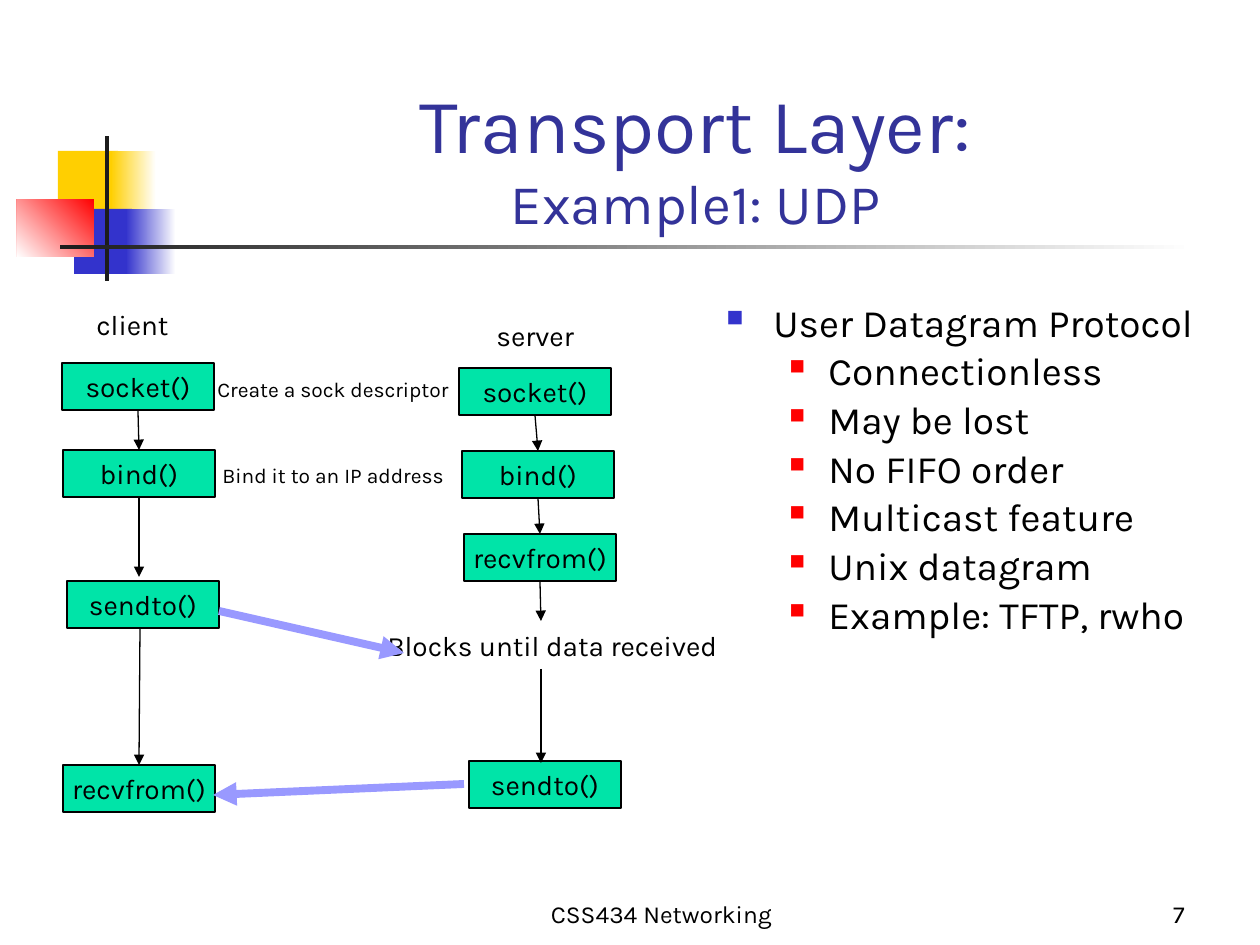
from lxml.etree import SubElement
from pptx import Presentation
from pptx.dml.color import RGBColor
from pptx.enum.shapes import MSO_CONNECTOR, MSO_SHAPE
from pptx.enum.text import MSO_ANCHOR, PP_ALIGN
from pptx.oxml.ns import qn
from pptx.util import Emu, Pt

SCALE = 914400 / 126
FONT = "Karla"
COLORS = {
    "black": "000000", "white": "FFFFFF", "title": "333399", "call": "00E4A8",
    "message": "9999FF", "yellow": "FFCF01", "blue": "3333CC", "red": "FF0000",
    "rule": "1C1C1C",
}
BOTTOM, TOP = 2, 0


def px(*lengths):
    return [Emu(round(length * SCALE)) for length in lengths]


def rgb(name):
    return RGBColor.from_string(COLORS[name])


class SlideBuilder:
    def __init__(self, page):
        self.page = page

    def style(self, font, size, color="black"):
        font.name = FONT
        font.size = Pt(size)
        font.color.rgb = rgb(color)

    def title(self, place, lines):
        box = self.page.shapes.title
        box.left, box.top, box.width, box.height = px(*place)
        box.text_frame.vertical_anchor = MSO_ANCHOR.BOTTOM
        para = box.text_frame.paragraphs[0]
        para.alignment = PP_ALIGN.CENTER
        for number, (text, size) in enumerate(lines):
            if number:
                para.add_line_break()
            span = para.add_run()
            span.text = text
            self.style(span.font, size, "title")

    def rect(self, place, color, fade_to=None, angle=0):
        box = self.page.shapes.add_shape(MSO_SHAPE.RECTANGLE, *px(*place))
        box.shadow.inherit = False
        box.line.fill.background()
        if fade_to:
            box.fill.gradient()
            box.fill.gradient_angle = angle
            for stop, name in zip(box.fill.gradient_stops, (color, fade_to)):
                stop.color.rgb = rgb(name)
        else:
            box.fill.solid()
            box.fill.fore_color.rgb = rgb(color)
        return box

    def call(self, left, top, text):
        box = self.rect((left, top, 152, 47), "call")
        box.line.color.rgb = rgb("black")
        box.line.width = Pt(0.75)
        frame = box.text_frame
        frame.word_wrap = False
        frame.vertical_anchor = MSO_ANCHOR.MIDDLE
        para = frame.paragraphs[0]
        para.text = text
        para.alignment = PP_ALIGN.CENTER
        self.style(para.font, 16)
        return box

    def text(self, place, text, size, align=PP_ALIGN.LEFT, wrap=False,
             anchor=MSO_ANCHOR.TOP):
        frame = self.page.shapes.add_textbox(*px(*place)).text_frame
        frame.word_wrap = wrap
        frame.vertical_anchor = anchor
        para = frame.paragraphs[0]
        para.text = text
        para.alignment = align
        self.style(para.font, size)

    def bullets(self, place, items):
        frame = self.page.shapes.add_textbox(*px(*place)).text_frame
        frame.word_wrap = True
        for number, (level, text) in enumerate(items):
            para = frame.add_paragraph() if number else frame.paragraphs[0]
            para.text = text
            para.level = level
            para.line_spacing = 0.8
            para.space_before = Pt(6.5)
            margin, indent, color, percent = (
                (102, -39, "red", 55) if level else (47, -47, "blue", 60))
            props = para._p.get_or_add_pPr()
            props.set("marL", str(px(margin)[0]))
            props.set("indent", str(px(indent)[0]))
            bullet_color = SubElement(props, qn("a:buClr"))
            SubElement(bullet_color, qn("a:srgbClr"), val=COLORS[color])
            SubElement(props, qn("a:buSzPct"), val=str(percent * 1000))
            SubElement(props, qn("a:buChar"), char="■")
            self.style(para.font, 22.2)

    def arrow(self, start, end, color="black", width=0.75):
        """Each end is an (x, y) point or a (box, side) joint."""
        line = self.page.shapes.add_connector(MSO_CONNECTOR.STRAIGHT, 0, 0, 0, 0)
        if isinstance(start[0], int):
            line.begin_x, line.begin_y = px(*start)
        else:
            line.begin_connect(*start)
        if isinstance(end[0], int):
            line.end_x, line.end_y = px(*end)
        else:
            line.end_connect(*end)
        line.line.color.rgb = rgb(color)
        line.line.width = Pt(width)
        SubElement(line.line._get_or_add_ln(), qn("a:tailEnd"), type="triangle")
        SubElement(line._element.spPr, qn("a:effectLst"))


def main():
    deck = Presentation()
    deck.slide_width, deck.slide_height = px(1260, 945)
    page = deck.slides.add_slide(deck.slide_layouts[5])
    builder = SlideBuilder(page)

    # Corner decoration and title rule
    builder.rect((58, 151, 60, 65), "yellow")
    builder.rect((111, 151, 45, 65), "white", "yellow", 180)
    builder.rect((74, 209, 58, 65), "blue")
    builder.rect((126, 209, 50, 65), "white", "blue", 180)
    builder.rect((17, 199, 77, 58), "red", "white", 225)
    builder.rect((105, 136, 4, 145), "rule")
    builder.rect((60, 245, 1134, 4), "white", "rule", 180)

    # Title and protocol facts
    builder.title((159, 84, 1074, 158),
                  [("Transport Layer:", 44), ("Example1: UDP", 32)])
    facts = ["Connectionless", "May be lost", "No FIFO order",
             "Multicast feature", "Unix datagram", "Example: TFTP, rwho"]
    builder.bullets((714, 301, 546, 422),
                    [(0, "User Datagram Protocol")] + [(1, fact) for fact in facts])

    # Calls on each side
    client_socket, client_bind, client_send, client_receive = [
        builder.call(*call) for call in (
            (62, 363, "socket()"), (63, 450, "bind()"),
            (67, 581, "sendto()"), (63, 765, "recvfrom()"))]
    server_socket, server_bind, server_receive, server_send = [
        builder.call(*call) for call in (
            (459, 368, "socket()"), (462, 451, "bind()"),
            (464, 534, "recvfrom()"), (469, 761, "sendto()"))]

    # Labels
    for place, text, size in (
            ((84, 301, 100, 47), "client", 16),
            ((484, 312, 110, 47), "server", 16),
            ((375, 622, 368, 47), "Blocks until data received", 16),
            ((205, 370, 265, 38), "Create a sock descriptor", 12),
            ((210, 456, 256, 38), "Bind it to an IP address", 12)):
        builder.text(place, text, size)

    # Order of calls
    for start, end in (
            ((client_socket, BOTTOM), (client_bind, TOP)),
            ((client_bind, BOTTOM), (139, 577)),
            ((140, 629), (client_receive, TOP)),
            ((server_socket, BOTTOM), (server_bind, TOP)),
            ((server_bind, BOTTOM), (server_receive, TOP)),
            ((server_receive, BOTTOM), (541, 621)),
            ((541, 669), (541, 763))):
        builder.arrow(start, end)

    # Messages between client and server
    builder.arrow((219, 611), (404, 653), "message", 4.5)
    builder.arrow((464, 784), (213, 795), "message", 4.5)

    # Footer
    for place, text, align in (
            ((462, 872, 399, 63), "CSS434 Networking", PP_ALIGN.CENTER),
            ((935, 872, 262, 63), "7", PP_ALIGN.RIGHT)):
        builder.text(place, text, 14, align, True, MSO_ANCHOR.BOTTOM)

    deck.save("out.pptx")


if __name__ == "__main__":
    main()
